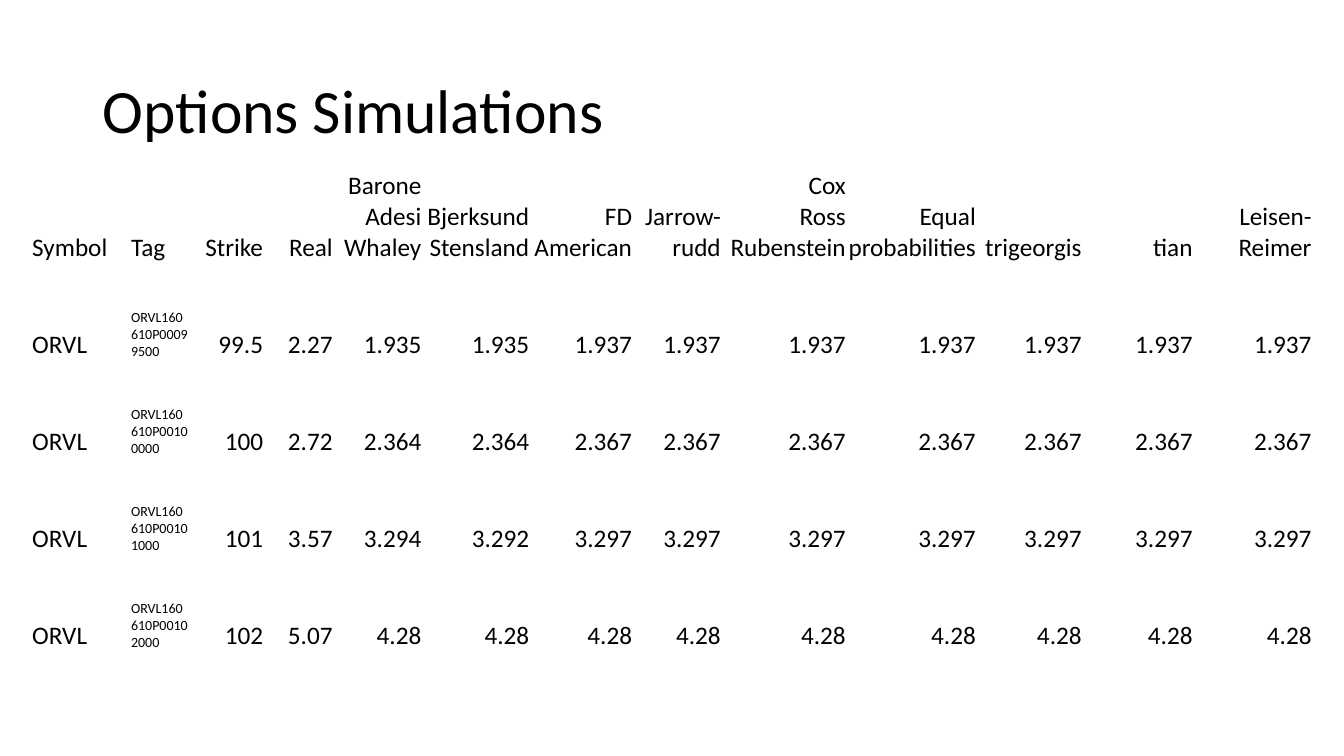
from dataclasses import dataclass

from pptx import Presentation
from pptx.dml.color import RGBColor
from pptx.enum.text import MSO_ANCHOR as Anchor, PP_ALIGN as Align
from pptx.util import Inches, Pt


@dataclass(frozen=True)
class Theme:
    font: str = "Calibri"
    ink: RGBColor = RGBColor(0, 0, 0)
    title_size: int = 44
    body_size: int = 18
    tag_size: int = 10


THEME = Theme()
SLIDE_SIZE = (13.33, 7.5)
TITLE_BOX = (0.92, 0.4, 11.5, 1.45)
TABLE_BOX = (0.31, 1.41, 12.71, 5.05)
COLUMN_WIDTHS = (0.98, 0.59, 0.74, 0.69, 0.88, 1.07, 1.02,
                 0.88, 1.24, 1.29, 1.05, 1.1, 1.18)
HEADER_HEIGHT = 1.2
TAG_COLUMN = 1
LEFT_COLUMNS = (0, TAG_COLUMN)

SYMBOL = "ORVL"
HEADERS = ["Symbol", "Tag", "Strike", "Real", "Barone\nAdesi\nWhaley",
           "Bjerksund\nStensland", "FD American", "Jarrow-rudd",
           "Cox\nRoss\nRubenstein", "Equal probabilities", "trigeorgis",
           "tian", "Leisen-Reimer"]
# Tag code, strike, real price, two approximations, shared lattice price
OPTIONS = [
    ("160610P00099500", "99.5", "2.27", "1.935", "1.935", "1.937"),
    ("160610P00100000", "100", "2.72", "2.364", "2.364", "2.367"),
    ("160610P00101000", "101", "3.57", "3.294", "3.292", "3.297"),
    ("160610P00102000", "102", "5.07", "4.28", "4.28", "4.28"),
]
LATTICE_MODELS = 7


def write_text(frame, text, size, align=Align.LEFT, line_spacing=None):
    """Fill a text frame, one paragraph for each line of text."""
    frame.text = text
    for paragraph in frame.paragraphs:
        paragraph.alignment = align
        paragraph.line_spacing = line_spacing
        for run in paragraph.runs:
            run.font.name = THEME.font
            run.font.size = Pt(size)
            run.font.bold = False
            run.font.color.rgb = THEME.ink


def add_title(slide, box, text):
    title = slide.shapes.title
    title.left, title.top, title.width, title.height = map(Inches, box)
    title.text_frame.vertical_anchor = Anchor.MIDDLE
    write_text(title.text_frame, text, THEME.title_size, line_spacing=0.9)


def format_cell(cell, text, column):
    cell.fill.background()
    cell.vertical_anchor = Anchor.BOTTOM
    cell.margin_left = cell.margin_right = cell.margin_top = Inches(0.01)
    cell.margin_bottom = 0
    is_tag = column == TAG_COLUMN and text != HEADERS[TAG_COLUMN]
    write_text(cell.text_frame, text,
               THEME.tag_size if is_tag else THEME.body_size,
               align=Align.LEFT if column in LEFT_COLUMNS else Align.RIGHT)


def add_price_table(slide, box, rows):
    table = slide.shapes.add_table(
        len(rows), len(COLUMN_WIDTHS), *map(Inches, box)).table
    table.first_row = table.horz_banding = False

    # Column and row sizes
    for column, width in zip(table.columns, COLUMN_WIDTHS):
        column.width = Inches(width)
    option_height = (box[3] - HEADER_HEIGHT) / (len(rows) - 1)
    for index, row in enumerate(table.rows):
        row.height = Inches(option_height if index else HEADER_HEIGHT)

    # Cell contents
    for row, values in zip(table.rows, rows):
        for column, (cell, text) in enumerate(zip(row.cells, values)):
            format_cell(cell, text, column)


def build_rows():
    rows = [HEADERS]
    for code, *prices, lattice_price in OPTIONS:
        rows.append([SYMBOL, SYMBOL + code, *prices]
                    + [lattice_price] * LATTICE_MODELS)
    return rows


def main():
    presentation = Presentation()
    presentation.slide_width, presentation.slide_height = map(Inches, SLIDE_SIZE)
    title_only = presentation.slide_layouts.get_by_name("Title Only")
    slide = presentation.slides.add_slide(title_only)
    add_title(slide, TITLE_BOX, "Options Simulations")
    add_price_table(slide, TABLE_BOX, build_rows())
    presentation.save("out.pptx")


if __name__ == "__main__":
    main()
